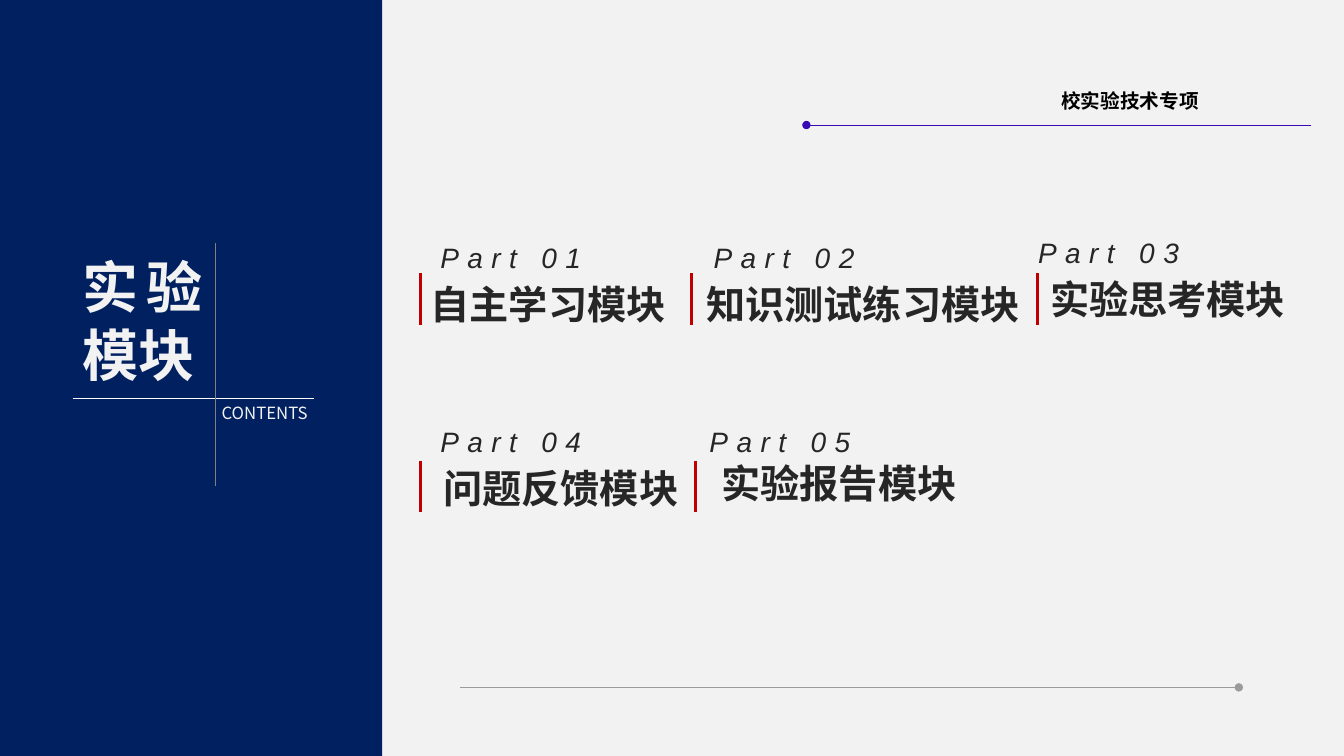
from dataclasses import dataclass

from lxml.etree import SubElement
from pptx import Presentation
from pptx.dml.color import RGBColor
from pptx.enum.shapes import MSO_CONNECTOR, MSO_SHAPE
from pptx.enum.text import MSO_AUTO_SIZE, PP_ALIGN
from pptx.oxml.ns import qn
from pptx.slide import Slide
from pptx.util import Pt

NAVY = RGBColor(0x00, 0x20, 0x60)
PALE = RGBColor(0xF2, 0xF2, 0xF2)
WHITE = RGBColor(0xFF, 0xFF, 0xFF)
BLACK = RGBColor(0x00, 0x00, 0x00)
INK = RGBColor(0x26, 0x26, 0x26)
MID_GREY = RGBColor(0x80, 0x80, 0x80)
SOFT_GREY = RGBColor(0x9B, 0x9B, 0x9B)
RED = RGBColor(0xC0, 0x00, 0x00)
VIOLET = RGBColor(0x37, 0x0A, 0xB6)
LATIN = "Arial"
CHINESE = "Noto Sans CJK SC"


@dataclass(frozen=True)
class Module:
    number: int
    title: str
    label_left: float
    label_top: float
    title_left: float
    title_top: float
    title_width: float
    bar_left: float
    bar_top: float


@dataclass(frozen=True)
class Rule:
    start: tuple[float, float]
    end: tuple[float, float]
    color: RGBColor
    weight: float
    dot: bool = False


MODULES = [
    Module(1, "自主学习模块", 307.4, 156.2, 300.5, 196.5, 186, 300.2, 195.1),
    Module(2, "知识测试练习模块", 502.6, 156.2, 497.5, 196.5, 240.5, 493.9, 195.1),
    Module(3, "实验思考模块", 734.4, 152.6, 743, 193, 186, 740.9, 195.1),
    Module(4, "问题反馈模块", 307.4, 288, 309.6, 328.3, 186, 300.2, 329),
    Module(5, "实验报告模块", 499.7, 288, 508.3, 324.7, 186, 496.8, 329),
]
BAR_HEIGHT = 36.7

RULES = [
    Rule((51.8, 284.4), (224.6, 284.4), WHITE, 0.5),
    Rule((154.1, 347), (154.1, 173.5), MID_GREY, 1),
    Rule((936.7, 89.3), (576, 89.3), VIOLET, 0.5, dot=True),
    Rule((328.3, 491), (884.9, 491), SOFT_GREY, 0.5, dot=True),
]


def add_text(slide: Slide, text: str, left: float, top: float, width: float,
             height: float, *, size: float, color: RGBColor,
             font_name: str = CHINESE, bold: bool = False, italic: bool = False,
             tracking: float = 0, line_spacing: float = 1,
             align: PP_ALIGN = PP_ALIGN.LEFT, wrap: bool = True) -> None:
    frame = slide.shapes.add_textbox(Pt(left), Pt(top), Pt(width), Pt(height)).text_frame
    frame.word_wrap = wrap
    frame.auto_size = MSO_AUTO_SIZE.SHAPE_TO_FIT_TEXT
    paragraph = frame.paragraphs[0]
    paragraph.alignment = align
    paragraph.line_spacing = line_spacing
    run = paragraph.add_run()
    run.text = text
    run.font.size = Pt(size)
    run.font.bold = bold
    run.font.italic = italic
    run.font.color.rgb = color
    run.font.name = font_name
    properties = run.font._element
    SubElement(properties, qn("a:ea")).set("typeface", CHINESE)
    if tracking:
        properties.set("spc", str(round(tracking * 100)))


def add_rule(slide: Slide, rule: Rule) -> None:
    connector = slide.shapes.add_connector(
        MSO_CONNECTOR.STRAIGHT, *map(Pt, rule.start + rule.end))
    connector.line.color.rgb = rule.color
    connector.line.width = Pt(rule.weight)
    if rule.dot:
        SubElement(connector.line._get_or_add_ln(), qn("a:tailEnd")).set("type", "oval")
    SubElement(connector._element.spPr, qn("a:effectLst"))


def add_module(slide: Slide, module: Module) -> None:
    add_text(slide, f"Part {module.number:02}", module.label_left, module.label_top,
             157, 43.9, size=20, color=INK, font_name=LATIN, italic=True,
             tracking=6, line_spacing=1.5)
    add_text(slide, module.title, module.title_left, module.title_top,
             module.title_width, 41, size=28, color=INK, bold=True)
    bar_bottom = module.bar_top + BAR_HEIGHT
    add_rule(slide, Rule((module.bar_left, module.bar_top),
                         (module.bar_left, bar_bottom), RED, 2.25))


def add_sidebar(slide: Slide) -> None:
    sidebar = slide.shapes.add_shape(MSO_SHAPE.RECTANGLE, 0, 0, Pt(272.9), Pt(540))
    sidebar.shadow.inherit = False
    sidebar.fill.solid()
    sidebar.fill.fore_color.rgb = NAVY
    sidebar.line.fill.background()
    add_text(slide, "实验模块", 51.8, 177.1, 100.1, 104.4, size=40, color=PALE,
             font_name=LATIN, bold=True, align=PP_ALIGN.JUSTIFY)
    add_text(slide, "CONTENTS", 151.2, 284.4, 79.2, 21.6, size=12, color=PALE,
             wrap=False)


def main() -> None:
    presentation = Presentation()
    presentation.slide_width = Pt(960)
    presentation.slide_height = Pt(540)
    slide = presentation.slides.add_slide(presentation.slide_layouts[6])
    slide.background.fill.solid()
    slide.background.fill.fore_color.rgb = PALE
    add_sidebar(slide)
    for module in MODULES:
        add_module(slide, module)
    for rule in RULES:
        add_rule(slide, rule)
    add_text(slide, "校实验技术专项", 751, 59.8, 197.3, 24.5, size=14, color=BLACK,
             font_name=LATIN, bold=True)
    presentation.save("out.pptx")


if __name__ == "__main__":
    main()
